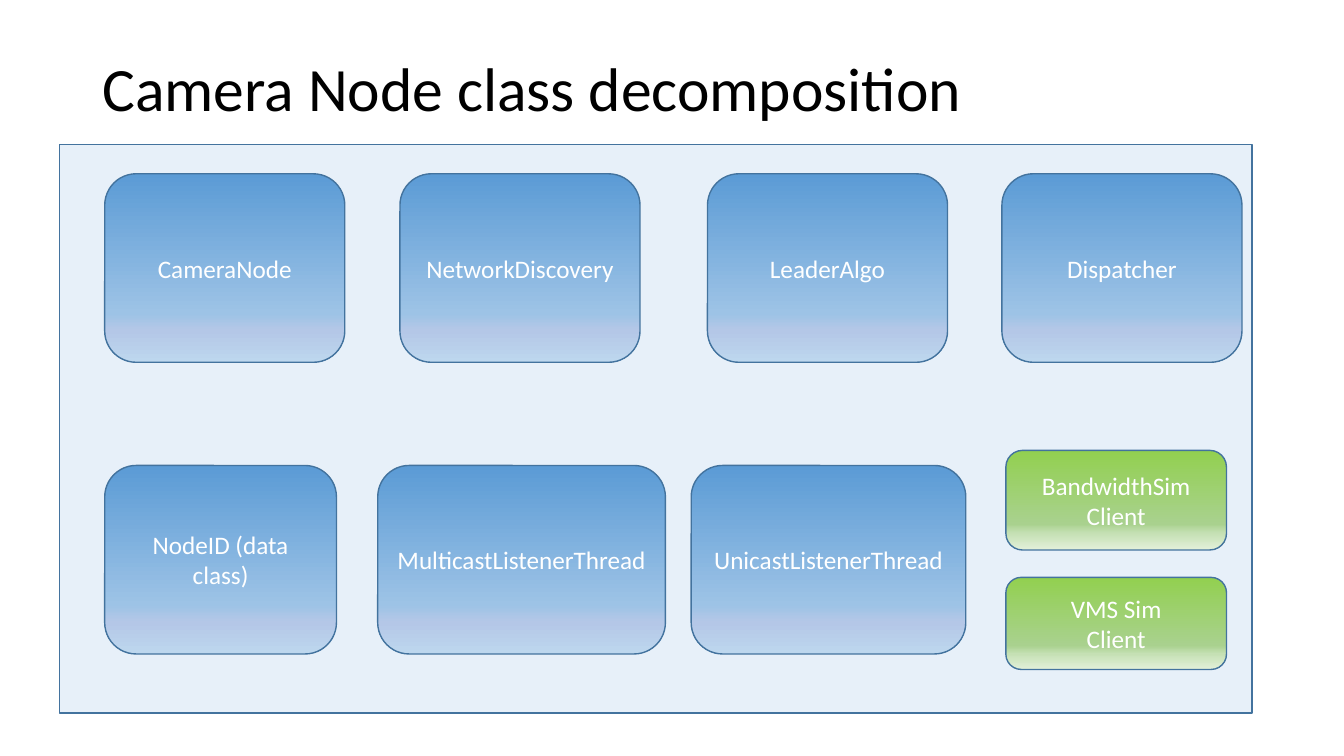
import lxml.etree
import pptx
import pptx.dml.color
import pptx.enum.shapes
import pptx.enum.text
import pptx.oxml.ns
import pptx.util

Cm = pptx.util.Cm
SHAPES = pptx.enum.shapes.MSO_SHAPE
ALIGN = pptx.enum.text.PP_ALIGN
qn = pptx.oxml.ns.qn

OUTLINE = "43739E"
BLUE = [(0, "5B9BD5"), (74, "9DC3E6"), (83, "B4C7E7"), (100, "BDD7EE")]
GREEN = [(0, "92D050"), (74, "A9D18E"), (83, "C5E0B4"), (100, "E2F0D9")]


def color(value):
    """Turn a hex string into a colour."""
    return pptx.dml.color.RGBColor.from_string(value)


def write(shape, text, size=18, ink="FFFFFF", align=ALIGN.CENTER, spacing=1.0):
    """Fill a shape with text, one paragraph per line, centred vertically."""
    frame = shape.text_frame
    frame.word_wrap = True
    frame.vertical_anchor = pptx.enum.text.MSO_ANCHOR.MIDDLE
    frame.text = text
    for para in frame.paragraphs:
        para.alignment = align
        para.line_spacing = spacing
        for span in para.runs:
            span.font.name = "Calibri"
            span.font.size = pptx.util.Pt(size)
            span.font.color.rgb = color(ink)


deck = pptx.Presentation()
deck.slide_width, deck.slide_height = Cm(33.87), Cm(19.05)
page = deck.slides.add_slide(deck.slide_layouts[6])

title = page.shapes.add_textbox(Cm(2.33), Cm(1.01), Cm(29.21), Cm(2.62))
write(title, "Camera Node class decomposition", size=44, ink="000000",
      align=ALIGN.LEFT, spacing=0.9)

panel = page.shapes.add_shape(SHAPES.RECTANGLE, Cm(1.5), Cm(3.64), Cm(30.05), Cm(14.33))
panel.shadow.inherit = False
panel.fill.solid()
panel.fill.fore_color.rgb = color("5B9BD5")
panel_color = panel.fill._xPr.find(qn("a:solidFill"))[0]
lxml.etree.SubElement(panel_color, qn("a:alpha"), val="14000")
panel.line.color.rgb = color(OUTLINE)
panel.line.width = pptx.util.Pt(1)

# Rows of classes: top, height, then (left, width, name) for each box
top_row, bottom_row, box_height, box_width = 4.38, 11.73, 4.75, 6.05
client_left, client_width = 25.35, 5.56
classes = [
    ("CameraNode", 2.64, top_row, box_width, box_height, BLUE),
    ("NetworkDiscovery", 10.08, top_row, box_width, box_height, BLUE),
    ("LeaderAlgo", 17.83, top_row, box_width, box_height, BLUE),
    ("Dispatcher", 25.25, top_row, box_width, box_height, BLUE),
    ("NodeID (data class)", 2.64, bottom_row, 5.84, box_height, BLUE),
    ("UnicastListenerThread", 17.42, bottom_row, 6.92, box_height, BLUE),
    ("MulticastListenerThread", 9.52, bottom_row, 7.25, box_height, BLUE),
    ("BandwidthSim\nClient", client_left, 11.35, client_width, 2.51, GREEN),
    ("VMS Sim\nClient", client_left, 14.55, client_width, 2.32, GREEN),
]

for name, left, top, width, height, stops in classes:
    box = page.shapes.add_shape(SHAPES.ROUNDED_RECTANGLE,
                                Cm(left), Cm(top), Cm(width), Cm(height))
    box.shadow.inherit = False
    box.fill.gradient()
    box.fill.gradient_angle = 270
    stop_list = box.fill._xPr.find(".//" + qn("a:gsLst"))
    for old_stop in list(stop_list):
        stop_list.remove(old_stop)
    for percent, tone in stops:
        stop = lxml.etree.SubElement(stop_list, qn("a:gs"), pos=str(percent * 1000))
        lxml.etree.SubElement(stop, qn("a:srgbClr"), val=tone)
    box.line.color.rgb = color(OUTLINE)
    box.line.width = pptx.util.Pt(1)
    write(box, name)

deck.save("out.pptx")
